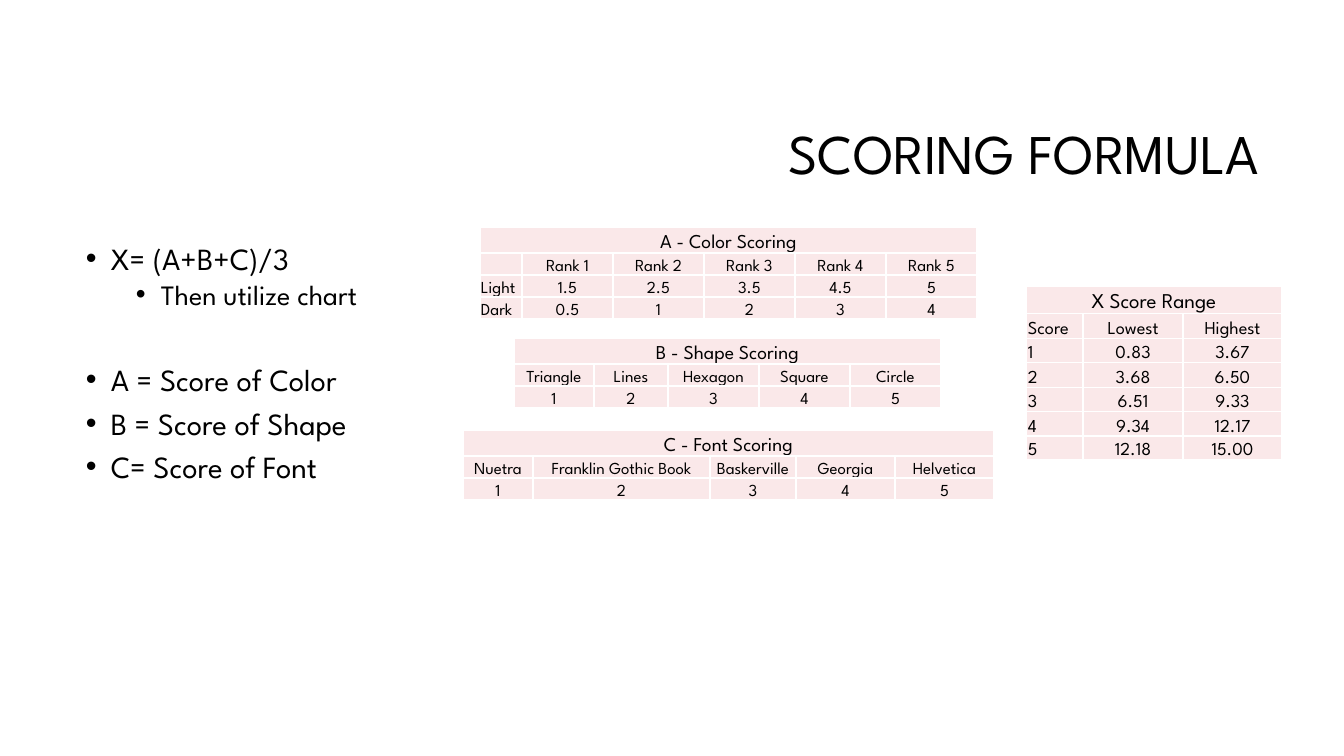
import pptx
import pptx.util
import pptx.dml.color
import pptx.enum.text
import pptx.oxml
import pptx.oxml.ns

BLACK = pptx.dml.color.RGBColor(0x00, 0x00, 0x00)
WHITE = pptx.dml.color.RGBColor(0xFF, 0xFF, 0xFF)
BLUSH = pptx.dml.color.RGBColor(0xFA, 0xE8, 0xE9)
ALIGN = pptx.enum.text.PP_ALIGN
ANCHOR = pptx.enum.text.MSO_ANCHOR
EMU_PER_PIXEL = 914400 / 100.8


def px(length):
    """Turn whole pixels into EMU."""
    return pptx.util.Emu(round(length * EMU_PER_PIXEL))


def assign(target, values):
    """Set every attribute named in a dict of format values."""
    for name, value in values.items():
        setattr(target, name, value)


def add_xml(parent, body):
    """Append one DrawingML element to its parent."""
    tag, rest = body.split(" ", 1)
    space = pptx.oxml.ns.nsdecls("a")
    parent.append(pptx.oxml.parse_xml(f"<a:{tag} {space} {rest}"))


class ScoringSlide:
    """Holds the style and the current slide."""

    font = "League Spartan"

    def __init__(self, deck):
        """Add a blank slide to the deck."""
        self.slide = deck.slides.add_slide(deck.slide_layouts[6])

    def set_words(self, paragraph, words, size, **layout):
        """Put styled words in a paragraph."""
        assign(paragraph, layout)
        if not words:
            paragraph._p.get_or_add_endParaRPr().set("sz", str(size * 100))
            return
        run = paragraph.add_run()
        run.text = words
        assign(run.font, {"name": self.font, "size": pptx.util.Pt(size)})
        run.font.color.rgb = BLACK

    def text_frame(self, box, anchor):
        """Add a wrapping text box and return its frame."""
        frame = self.slide.shapes.add_textbox(*map(px, box)).text_frame
        assign(frame, {"word_wrap": True, "vertical_anchor": anchor})
        return frame

    def title(self, box, words):
        """Add the right-aligned heading."""
        frame = self.text_frame(box, ANCHOR.MIDDLE)
        self.set_words(frame.paragraphs[0], words, 40,
                       alignment=ALIGN.RIGHT, line_spacing=0.9)

    def bullets(self, box, items):
        """Add a list of (words, level, size, space before)."""
        frame = self.text_frame(box, ANCHOR.TOP)
        for index, (words, level, size, before) in enumerate(items):
            line = frame.add_paragraph() if index else frame.paragraphs[0]
            self.set_words(line, words, size, level=level, line_spacing=0.8,
                           space_before=pptx.util.Pt(before))
            properties = line._p.get_or_add_pPr()
            properties.set("marL", str(px(25 + 50 * level)))
            properties.set("indent", str(px(-25)))
            add_xml(properties, 'buFont typeface="Arial"/>')
            add_xml(properties, 'buChar char="\u2022"/>')

    def cell(self, cell, words, size, alignment, inset):
        """Fill, border and letter one table cell."""
        assign(cell, {"vertical_anchor": ANCHOR.BOTTOM, "margin_left": px(inset),
                      "margin_right": px(inset), "margin_top": px(inset),
                      "margin_bottom": 0})
        for side in "LRTB":
            add_xml(cell._tc.get_or_add_tcPr(),
                    f'ln{side} w="12700"><a:solidFill><a:srgbClr val="{WHITE}"/>'
                    f'</a:solidFill></a:ln{side}>')
        cell.fill.solid()
        cell.fill.fore_color.rgb = BLUSH
        self.set_words(cell.text_frame.paragraphs[0], words, size,
                       alignment=alignment)

    def score_table(self, corner, heading, rows, widths, heights,
                    sizes=(14, 12), inset=1, row_labels=False):
        """Add a table with one heading merged across its top row."""
        grid = [[heading] + [""] * (len(widths) - 1)] + rows
        table = self.slide.shapes.add_table(
            len(grid), len(widths), *map(px, (*corner, sum(widths), sum(heights)))
        ).table
        for column, width in zip(table.columns, widths):
            column.width = px(width)
        for row, height in zip(table.rows, heights):
            row.height = px(height)
        for r, values in enumerate(grid):
            for c, words in enumerate(values):
                label = row_labels and r > 0 and c == 0
                self.cell(table.cell(r, c), words, sizes[min(r, 1)],
                          ALIGN.LEFT if label else ALIGN.CENTER, inset)
        table.cell(0, 0).merge(table.cell(0, len(widths) - 1))


def main():
    """Build and save the scoring slide."""
    deck = pptx.Presentation()
    assign(deck, {"slide_width": px(1344), "slide_height": px(756)})
    scoring = ScoringSlide(deck)
    scoring.title((320, 85, 949, 142), "SCORING FORMULA")
    scoring.bullets((76, 242, 369, 268), [
        ("X= (A+B+C)/3 ", 0, 22, 10),
        ("Then utilize chart", 1, 20, 5),
        ("A = Score of Color", 0, 22, 41),
        ("B = Score of Shape", 0, 22, 10),
        ("C= Score of Font", 0, 22, 10),
    ])

    ranges = [("0.83", "3.67"), ("3.68", "6.50"), ("6.51", "9.33"),
              ("9.34", "12.17"), ("12.18", "15.00")]
    scoring.score_table(
        (1026, 286), "X Score Range",
        [["Score", "Lowest", "Highest"]]
        + [[str(score), *limits] for score, limits in enumerate(ranges, 1)],
        [57, 100, 99], [0] + [25, 24] * 3, (15, 13), inset=2, row_labels=True)

    ranks = [str(rank) for rank in range(1, 6)]
    scoring.score_table(
        (480, 227), "A - Color Scoring",
        [[""] + [f"Rank {rank}" for rank in ranks],
         ["Light", "1.5", "2.5", "3.5", "4.5", "5"],
         ["Dark", "0.5", "1", "2", "3", "4"]],
        [42] + [91] * 5, [26, 22, 22, 22], row_labels=True)
    scoring.score_table(
        (514, 338), "B - Shape Scoring",
        [["Triangle", "Lines", "Hexagon", "Square", "Circle"], ranks],
        [80, 74, 91, 91, 91], [26, 22, 22])
    scoring.score_table(
        (463, 430), "C - Font Scoring",
        [["Nuetra", "Franklin Gothic Book", "Baskerville", "Georgia", "Helvetica"],
         ranks],
        [70, 177, 86, 99, 99], [26, 22, 22])
    deck.save("out.pptx")


main()
